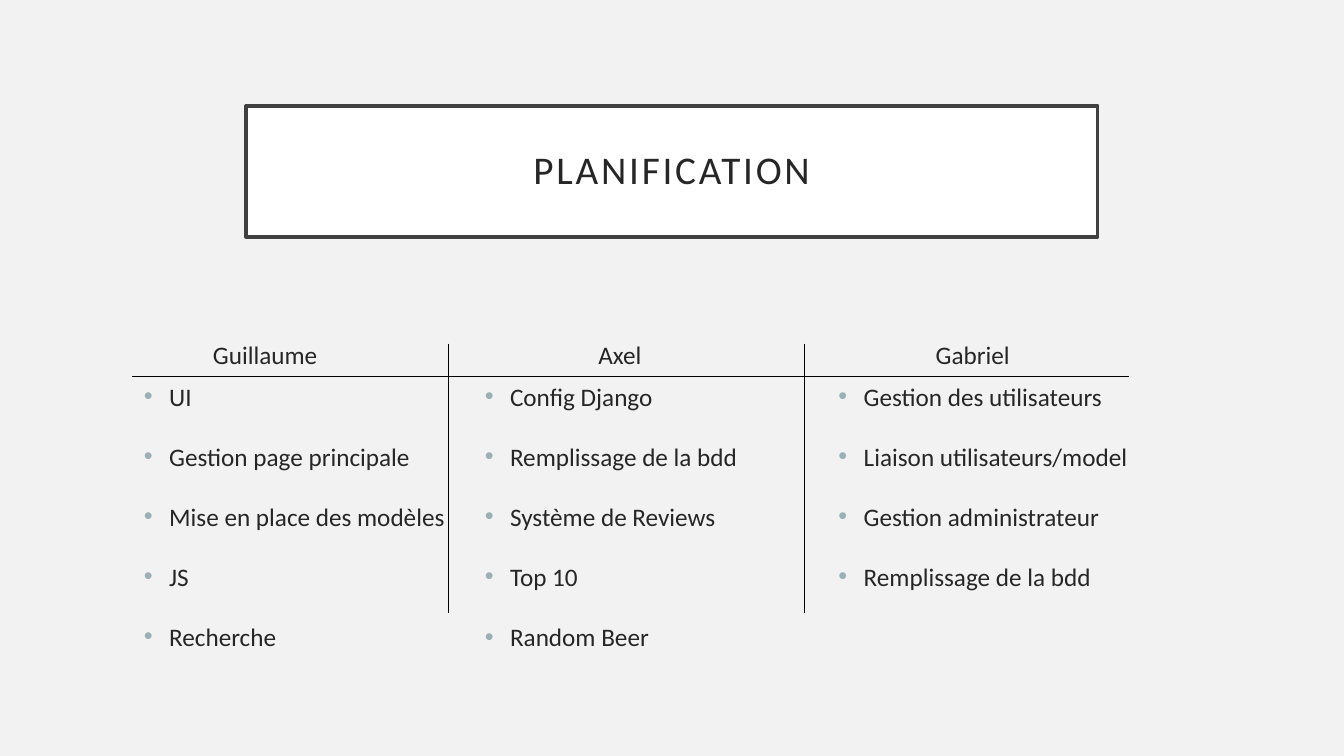
from dataclasses import dataclass

from lxml import etree
from pptx import Presentation
from pptx.dml.color import RGBColor
from pptx.enum.shapes import MSO_CONNECTOR
from pptx.enum.text import MSO_ANCHOR, MSO_AUTO_SIZE, PP_ALIGN
from pptx.oxml.ns import qn
from pptx.util import Pt

CENTER, LEFT = PP_ALIGN.CENTER, PP_ALIGN.LEFT
MIDDLE, TOP = MSO_ANCHOR.MIDDLE, MSO_ANCHOR.TOP
NO_FIT = MSO_AUTO_SIZE.NONE
STRAIGHT = MSO_CONNECTOR.STRAIGHT

FONT = "Calibri"
TEXT_SIZE = 18
COLORS = {
    "background": "F2F2F2",
    "white": "FFFFFF",
    "frame": "404040",
    "text": "262626",
    "bullet": "9BAFB5",
    "rule": "000000",
}

RULE_Y = 268.56
HEADER_TOP, HEADER_WIDTH, HEADER_HEIGHT = 239.04, 224.64, 29.52
LIST_WIDTH = 243.36
BULLET_INDENT = 18
ITEM_GAP = 21.3


@dataclass
class Column:
    name: str
    header_left: float
    list_left: float
    list_height: float
    tasks: list[str]
    in_body: bool = False


@dataclass
class Rule:
    x1: float
    y1: float
    x2: float
    y2: float


COLUMNS = [
    Column("Guillaume", 77.04, 95.76, 189.36,
           ["UI", "Gestion page principale", "Mise en place des modèles",
            "JS", "Recherche"]),
    Column("Axel", 330.48, 339.12, 210.24,
           ["Config Django", "Remplissage de la bdd", "Système de Reviews",
            "Top 10", "Random Beer"], in_body=True),
    Column("Gabriel", 582.48, 591.84, 189.36,
           ["Gestion des utilisateurs", "Liaison utilisateurs/model",
            "Gestion administrateur", "Remplissage de la bdd"]),
]
RULES = [Rule(94.32, RULE_Y, 806.4, RULE_Y)] + [
    Rule(x, 245.52, x, 437.76) for x in (320.4, 574.56)
]


def rgb(name: str) -> RGBColor:
    return RGBColor.from_string(COLORS[name])


def place(sp, left: float, top: float, width: float, height: float) -> None:
    sp.left, sp.top = Pt(left), Pt(top)
    sp.width, sp.height = Pt(width), Pt(height)


def prepare(sp, anchor=TOP):
    tf = sp.text_frame
    tf.word_wrap = True
    tf.auto_size = NO_FIT
    tf.vertical_anchor = anchor
    return tf


def add_run(p, text: str, size: float = TEXT_SIZE):
    r = p.add_run()
    r.text = text
    r.font.name = FONT
    r.font.size = Pt(size)
    r.font.color.rgb = rgb("text")
    return r


def add_bullet(p) -> None:
    pPr = p._p.get_or_add_pPr()
    pPr.set("marL", str(Pt(BULLET_INDENT)))
    pPr.set("indent", str(-Pt(BULLET_INDENT)))
    color = etree.SubElement(pPr, qn("a:buClr"))
    etree.SubElement(color, qn("a:srgbClr"), val=COLORS["bullet"])
    etree.SubElement(pPr, qn("a:buFont"), typeface="Arial")
    etree.SubElement(pPr, qn("a:buChar"), char="•")


def format_title(sp, text: str) -> None:
    place(sp, 175.68, 75.6, 608.4, 93.6)
    sp.fill.solid()
    sp.fill.fore_color.rgb = rgb("white")
    sp.line.color.rgb = rgb("frame")
    sp.line.width = Pt(2.5)
    tf = prepare(sp, MIDDLE)
    tf.margin_left = tf.margin_right = Pt(14.4)
    tf.margin_top = tf.margin_bottom = Pt(14.4)
    p = tf.paragraphs[0]
    p.alignment = CENTER
    p.line_spacing = 0.9
    r = add_run(p, text, 28)
    r._r.get_or_add_rPr().set("spc", "200")


def add_header(s, column: Column) -> None:
    sp = s.shapes.add_textbox(Pt(column.header_left), Pt(HEADER_TOP),
                              Pt(HEADER_WIDTH), Pt(HEADER_HEIGHT))
    p = prepare(sp).paragraphs[0]
    p.alignment = CENTER
    add_run(p, column.name)


def fill_list(sp, column: Column) -> None:
    place(sp, column.list_left, RULE_Y, LIST_WIDTH, column.list_height)
    tf = prepare(sp)
    for i, task in enumerate(column.tasks):
        p = tf.add_paragraph() if i else tf.paragraphs[0]
        p.alignment = LEFT
        p.space_before = Pt(ITEM_GAP if i else 0)
        add_bullet(p)
        add_run(p, task)


def add_rule(s, rule: Rule) -> None:
    line = s.shapes.add_connector(STRAIGHT, Pt(rule.x1), Pt(rule.y1),
                                  Pt(rule.x2), Pt(rule.y2))
    line.line.color.rgb = rgb("rule")
    line.line.width = Pt(0.5)
    etree.SubElement(line._element.spPr, qn("a:effectLst"))


prs = Presentation()
prs.slide_width, prs.slide_height = Pt(960), Pt(540)
s = prs.slides.add_slide(prs.slide_layouts[1])
s.background.fill.solid()
s.background.fill.fore_color.rgb = rgb("background")

format_title(s.shapes.title, "PLANIFICATION")
for column in COLUMNS:
    if column.in_body:
        sp = s.placeholders[1]
    else:
        sp = s.shapes.add_textbox(0, 0, 0, 0)
    fill_list(sp, column)
    add_header(s, column)
for rule in RULES:
    add_rule(s, rule)

prs.save("out.pptx")
